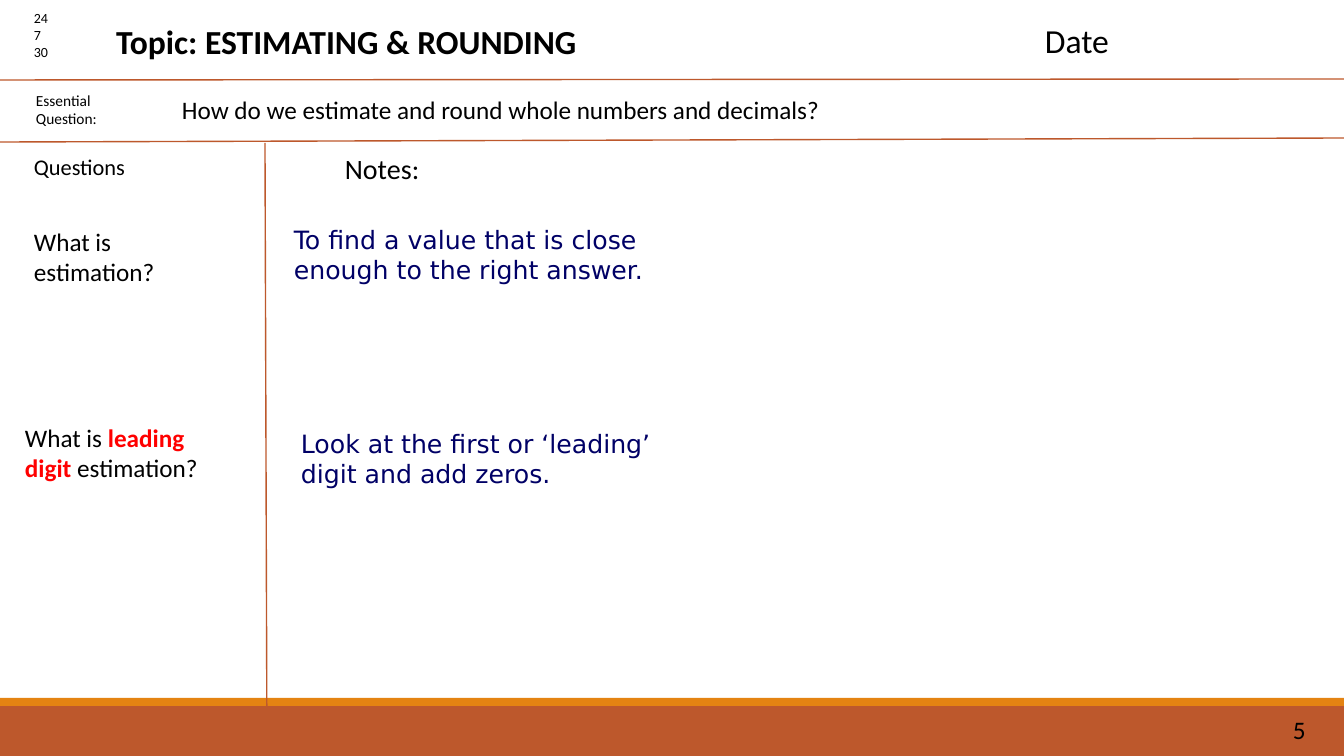
from dataclasses import dataclass

from lxml.etree import SubElement
from pptx import Presentation
from pptx.dml.color import RGBColor
from pptx.enum.shapes import MSO_CONNECTOR, MSO_SHAPE
from pptx.enum.text import MSO_ANCHOR, MSO_AUTO_SIZE, PP_ALIGN
from pptx.oxml.ns import qn
from pptx.util import Emu, Pt


@dataclass(frozen=True)
class Theme:
    ink: str = "000000"
    answer: str = "000066"
    key: str = "FF0000"
    rule: str = "BD582C"
    strip: str = "E48312"
    font: str = "Calibri"
    answer_font: str = "DejaVu Sans"
    tiny: int = 10
    label: int = 11
    small: int = 16
    body: int = 18
    notes: int = 20
    heading: int = 24


T = Theme()
PX = 9071  # EMU per px, 100.8 px to the inch
W, H = 1344, 756

# Content: boxes are (left, top, width, height) in px
TITLE = ("Topic: ESTIMATING & ROUNDING", (106, 16, 485, 50))
BARS = [  # box, fill
    ((0, 706, W, 50), T.rule),
    ((0, 698, W, 8), T.strip),
]
RULES = [  # x1, y1, x2, y2
    (0, 80, W, 79),
    (0, 142, W, 138),
    (265, 143, 267, H),
]
LABELS = [  # lines, size, box
    (["24", "7", "30"], T.tiny, (24, 5, 47, 61)),
    (["Essential Question:"], T.label, (26, 86, 92, 46)),
    (["Notes:"], T.notes, (335, 147, 284, 77)),
    (["Questions"], T.small, (24, 148, 113, 37)),
    (["How do we estimate and round whole numbers and decimals?"],
     T.body, (172, 89, 1000, 40)),
    (["Date"], T.heading, (1035, 15, 174, 50)),
    (["5"], T.body, (1283, 709, 60, 40)),
]
NOTES = [  # question runs (text, is key term), its place, answer, its place
    ([("What is estimation?", False)], (24, 221),
     "To find a value that is close enough to the right answer.", (284, 219)),
    ([("What is ", False), ("leading digit", True), (" estimation?", False)],
     (15, 417),
     "Look at the first or ‘leading’ digit and add zeros.", (291, 423)),
]
QUESTION_SIZE = (196, 72)
ANSWER_SIZE = (433, 72)


def emu(*lengths):
    return [Emu(n * PX) for n in lengths]


def add_run(p, text, size, color=T.ink, font=T.font, bold=False):
    r = p.add_run()
    r.text = text
    r.font.size = Pt(size)
    r.font.name = font
    r.font.bold = bold
    r.font.color.rgb = RGBColor.from_string(color)


def add_box(s, box):
    tf = s.shapes.add_textbox(*emu(*box)).text_frame
    tf.word_wrap = True
    return tf


def add_bar(s, box, fill):
    sp = s.shapes.add_shape(MSO_SHAPE.RECTANGLE, *emu(*box))
    sp.shadow.inherit = False
    sp.fill.solid()
    sp.fill.fore_color.rgb = RGBColor.from_string(fill)
    sp.line.fill.background()


def add_rule(s, ends):
    line = s.shapes.add_connector(MSO_CONNECTOR.STRAIGHT, *emu(*ends))
    line.line.color.rgb = RGBColor.from_string(T.rule)
    line.line.width = Pt(1)
    SubElement(line._element.spPr, qn("a:effectLst"))


def add_title(s, text, box):
    title = s.shapes.title
    title.left, title.top, title.width, title.height = emu(*box)
    tf = title.text_frame
    tf.word_wrap = False
    tf.auto_size = MSO_AUTO_SIZE.NONE
    tf.vertical_anchor = MSO_ANCHOR.TOP
    p = tf.paragraphs[0]
    p.alignment = PP_ALIGN.LEFT
    add_run(p, text, T.heading, bold=True)


def main():
    prs = Presentation()
    prs.slide_width, prs.slide_height = emu(W, H)
    s = prs.slides.add_slide(prs.slide_layouts[5])

    # Footer bars and page rules
    for box, fill in BARS:
        add_bar(s, box, fill)
    for ends in RULES:
        add_rule(s, ends)

    # Title and labels
    add_title(s, *TITLE)
    for lines, size, box in LABELS:
        tf = add_box(s, box)
        for i, text in enumerate(lines):
            p = tf.add_paragraph() if i else tf.paragraphs[0]
            add_run(p, text, size)

    # Questions with their answers
    for question, q_at, answer, a_at in NOTES:
        p = add_box(s, q_at + QUESTION_SIZE).paragraphs[0]
        for text, is_key in question:
            add_run(p, text, T.body, T.key if is_key else T.ink, bold=is_key)
        p = add_box(s, a_at + ANSWER_SIZE).paragraphs[0]
        add_run(p, answer, T.body, T.answer, T.answer_font)

    prs.save("out.pptx")


if __name__ == "__main__":
    main()
